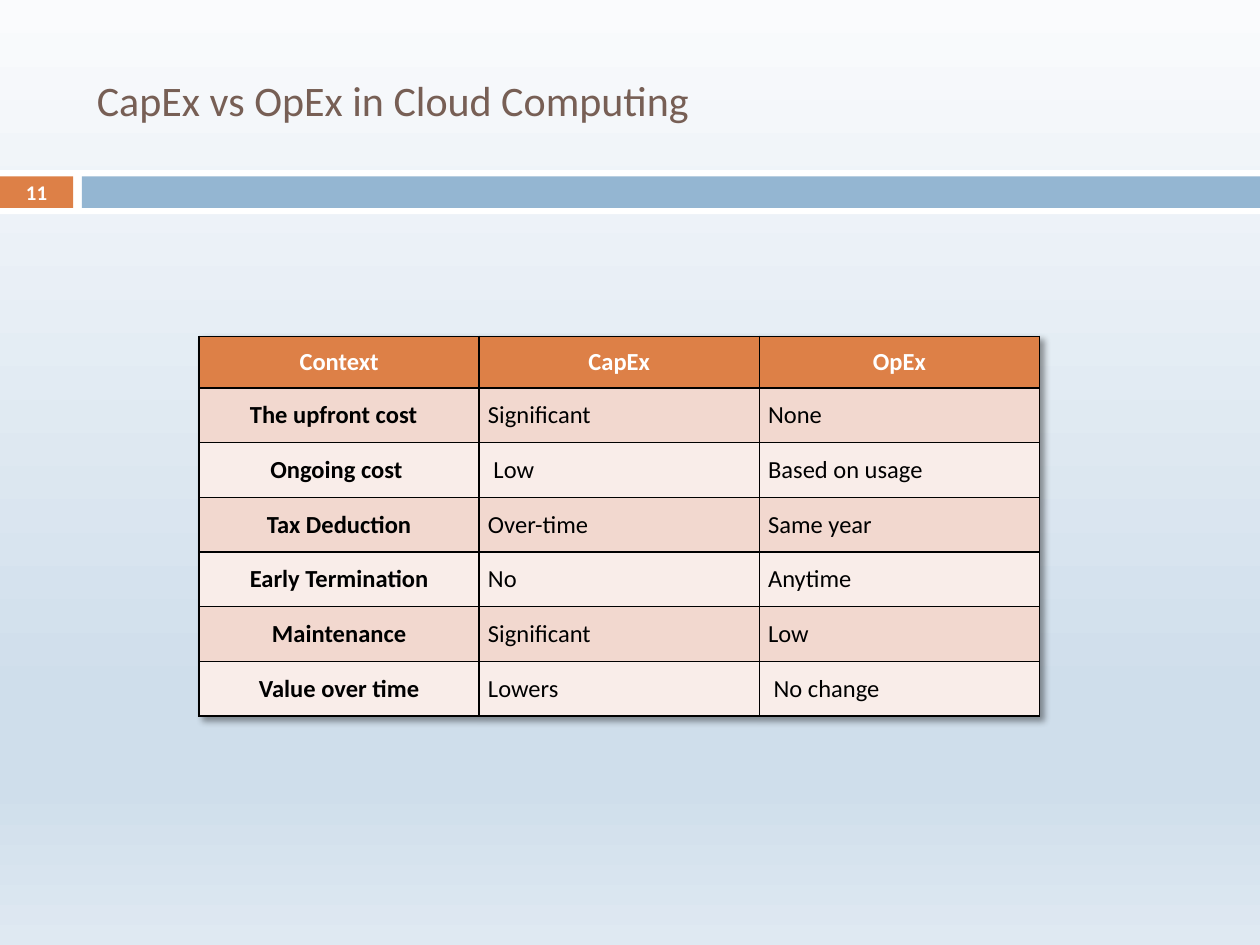
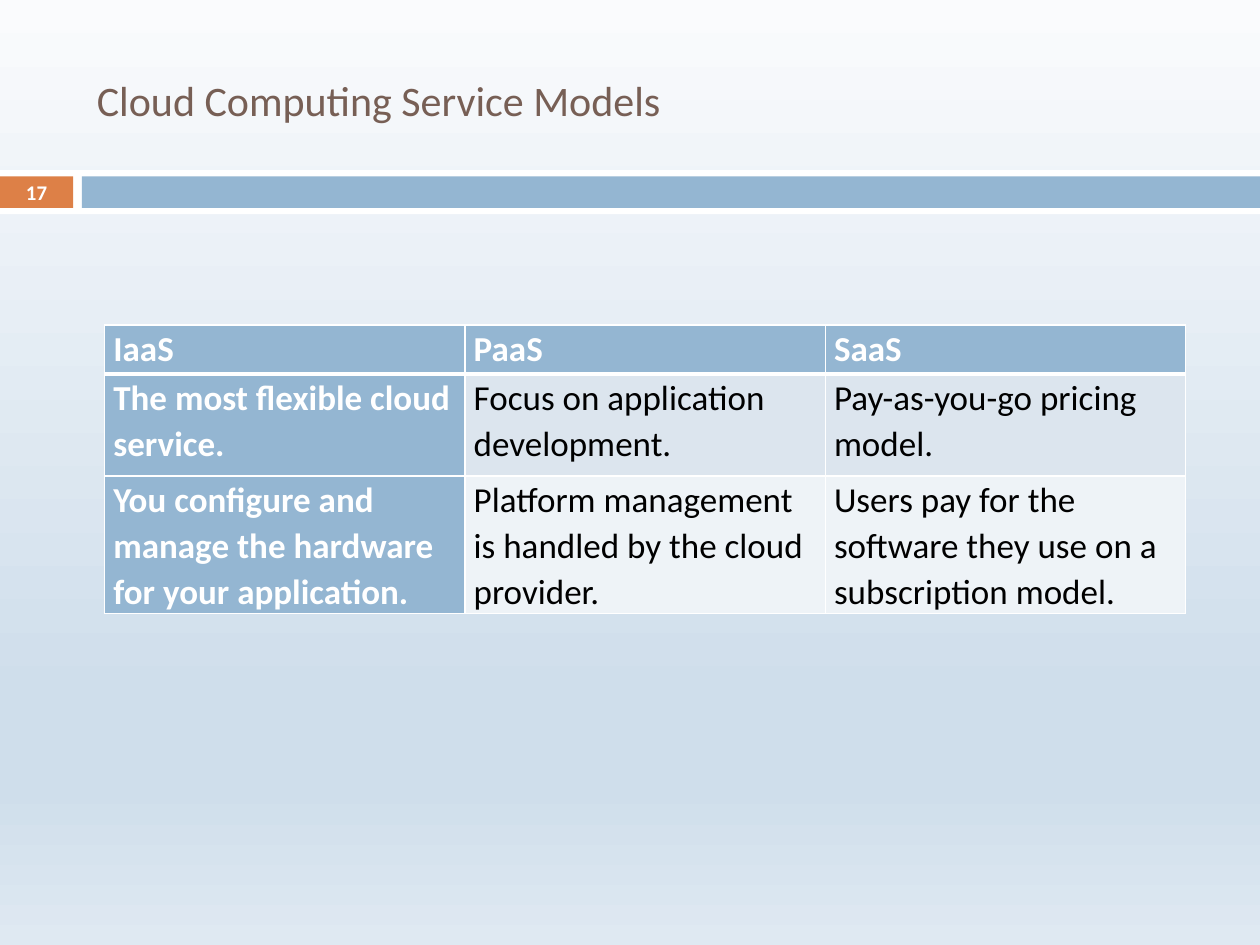
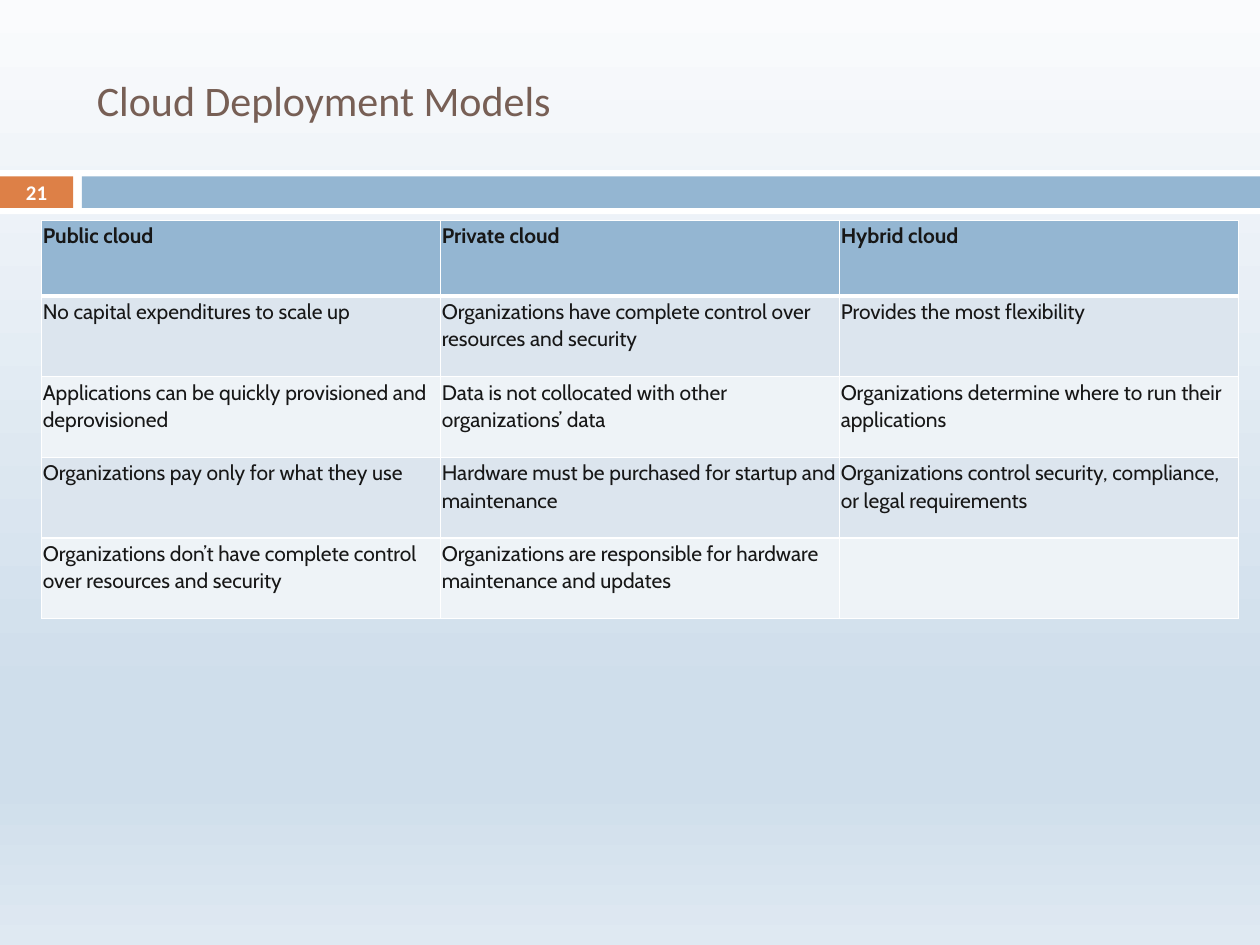
from lxml import etree
from pptx import Presentation
from pptx.dml.color import RGBColor
from pptx.enum import shapes, text
from pptx.oxml import ns
from pptx.util import Inches, Pt

WHITE, BLACK, ORANGE, BLUE, BROWN = "FFFFFF", "000000", "DD8047", "94B6D2", "775F55"
SKY = [(0, "FAFBFD"), (74, "CFDEEB"), (83, "CFDEEB"), (100, "DFE9F2")]
BANDS = [(0, 1.35, 10, 0.35, WHITE), (0, 1.4, 0.58, 0.25, ORANGE), (0.65, 1.4, 9.35, 0.25, BLUE)]
PALE = ("DCE5EE", "EEF3F7")

COSTS = [
    ("Context", "CapEx", "OpEx"),
    ("The upfront cost  ", "Significant", "None"),
    ("Ongoing cost ", " Low", "Based on usage"),
    ("Tax Deduction", "Over-time", "Same year"),
    ("Early Termination", "No", "Anytime"),
    ("Maintenance", "Significant ", "Low"),
    ("Value over time", "Lowers ", " No change"),
]
SERVICES = [
    ("IaaS", "PaaS", "SaaS"),
    ("The most flexible cloud service.", "Focus on application development.",
     "Pay-as-you-go pricing model."),
    ("You configure and manage the hardware for your application.",
     "Platform management is handled by the cloud provider.",
     "Users pay for the software they use on a subscription model."),
]
CLOUDS = [
    ("Public cloud", "Private cloud", "Hybrid cloud"),
    ("No capital expenditures to scale up",
     "Organizations have complete control over resources and security",
     "Provides the most flexibility"),
    ("Applications can be quickly provisioned and deprovisioned",
     "Data is not collocated with other organizations’ data",
     "Organizations determine where to run their applications"),
    ("Organizations pay only for what they use",
     "Hardware must be purchased for startup and maintenance",
     "Organizations control security, compliance, or legal requirements"),
    ("Organizations don’t have complete control over resources and security",
     "Organizations are responsible for hardware maintenance and updates", ""),
]

SLIDES = [
    dict(title="CapEx vs OpEx in Cloud Computing", page="11", rows=COSTS,
         at=(1.58, 2.67), wide=6.67, highs=[0.41] + [0.43] * 6,
         head=ORANGE, tints=("F2D8CF", "F9EDE9"), edge=BLACK, rule=1,
         font="Calibri", size=14, ink=BLACK, top=WHITE, side="bold",
         pads=((0.07, 0.07), (0.07, 0.1)), first=((0.04, 0.07), (0.04, 0.03)),
         mid=True, shade=True),
    dict(title="Cloud Computing Service Models", page="17", rows=SERVICES,
         at=(0.83, 2.58), wide=8.58, highs=[0.39, 0.81, 1.09],
         head=BLUE, tints=PALE, edge=WHITE, rule=3,
         font="Calibri", size=20, ink=BLACK, top=WHITE, side="head",
         pads=((0.07, 0), (0.07, 0)), space=1.07),
    dict(title="Cloud Deployment Models", page="21", rows=CLOUDS,
         at=(0.33, 1.75), wide=9.5, highs=[0.6] + [0.64] * 4,
         head=BLUE, tints=PALE, edge=WHITE, rule=3,
         font="Cabin", size=12, ink="171717", top="171717", side="",
         pads=((0.01, 0.01), (0.01, 0.01)), space=1.07),
]


def paint(color, value):
    color.rgb = RGBColor.from_string(value)


def fill(item, value):
    item.fill.solid()
    paint(item.fill.fore_color, value)


def add(parent, tag, **attrs):
    return etree.SubElement(parent, ns.qn(tag), {k: str(v) for k, v in attrs.items()})


def style(para, font, size, ink, bold=False):
    for run in para.runs:
        run.font.name, run.font.size, run.font.bold = font, Pt(size), bold
        paint(run.font.color, ink)


def backdrop(master):
    sky = master.background.fill
    sky.gradient()
    sky.gradient_angle = 270
    stops = master.element.find(".//" + ns.qn("a:gsLst"))
    for stop in list(stops):
        stops.remove(stop)
    for pos, color in SKY:
        add(add(stops, "a:gs", pos=pos * 1000), "a:srgbClr", val=color)


def label(slide, words, box, size, ink, bold=False, center=False):
    frame = slide.shapes.add_textbox(*map(Inches, box)).text_frame
    frame.word_wrap = True
    frame.vertical_anchor = text.MSO_ANCHOR.MIDDLE
    frame.text = words
    para = frame.paragraphs[0]
    if center:
        para.alignment = text.PP_ALIGN.CENTER
    style(para, "Calibri", size, ink, bold)


def border(cell, color, above, below):
    props = cell._tc.get_or_add_tcPr()
    for i, (side, width) in enumerate(zip("LRTB", (1, 1, above, below))):
        line = add(props, "a:ln" + side, w=Pt(width))
        add(add(line, "a:solidFill"), "a:srgbClr", val=color)
        props.insert(i, line)


def shadow(table):
    props = table._tbl.tblPr
    effects = add(props, "a:effectLst")
    props.insert(0, effects)
    outer = add(effects, "a:outerShdw", blurRad=Pt(4), dist=Pt(3), dir=2700000,
                algn="tl", rotWithShape=0)
    add(add(outer, "a:srgbClr", val=BLACK), "a:alpha", val=40000)


def grid(slide, data):
    rows = data["rows"]
    count = len(rows[0])
    box = (*data["at"], data["wide"], sum(data["highs"]))
    table = slide.shapes.add_table(len(rows), count, *map(Inches, box)).table
    table.horz_banding = False
    for col in table.columns:
        col.width = Inches(data["wide"] / count)
    for r, row in enumerate(rows):
        table.rows[r].height = Inches(data["highs"][r])
        for c, words in enumerate(row):
            cell = table.cell(r, c)
            top, side = r == 0, c == 0 and data["side"]
            dark = top or side == "head"
            fill(cell, data["head"] if dark else data["tints"][(r - 1) % 2])
            border(cell, data["edge"], data["rule"] if r == 1 else 1, data["rule"] if top else 1)
            pads = data.get("first", data["pads"]) if c == 0 else data["pads"]
            across, down = map(Inches, pads[min(r, 1)])
            cell.margin_left = cell.margin_right = across
            cell.margin_top = cell.margin_bottom = down
            if data.get("mid"):
                cell.vertical_anchor = text.MSO_ANCHOR.MIDDLE
            cell.text_frame.text = words
            para = cell.text_frame.paragraphs[0]
            if data.get("space"):
                para.line_spacing = data["space"]
            if data.get("mid") and (top or side):
                para.alignment = text.PP_ALIGN.CENTER
            style(para, data["font"], data["size"], data["top"] if dark else data["ink"],
                  bool(top or side))
    if data.get("shade"):
        shadow(table)


def build(deck, data):
    slide = deck.slides.add_slide(deck.slide_layouts[6])
    for *box, color in BANDS:
        band = slide.shapes.add_shape(shapes.MSO_SHAPE.RECTANGLE, *map(Inches, box))
        band.shadow.inherit = False
        fill(band, color)
        band.line.fill.background()
    label(slide, data["title"], (0.67, 0.25, 8.92, 1.08), 24, BROWN)
    grid(slide, data)
    label(slide, data["page"], (0, 1.39, 0.58, 0.27), 11.9, WHITE, bold=True, center=True)


def main():
    deck = Presentation()
    deck.slide_width, deck.slide_height = Inches(10), Inches(7.5)
    backdrop(deck.slide_master)
    for data in SLIDES:
        build(deck, data)
    deck.save("out.pptx")


if __name__ == "__main__":
    main()
